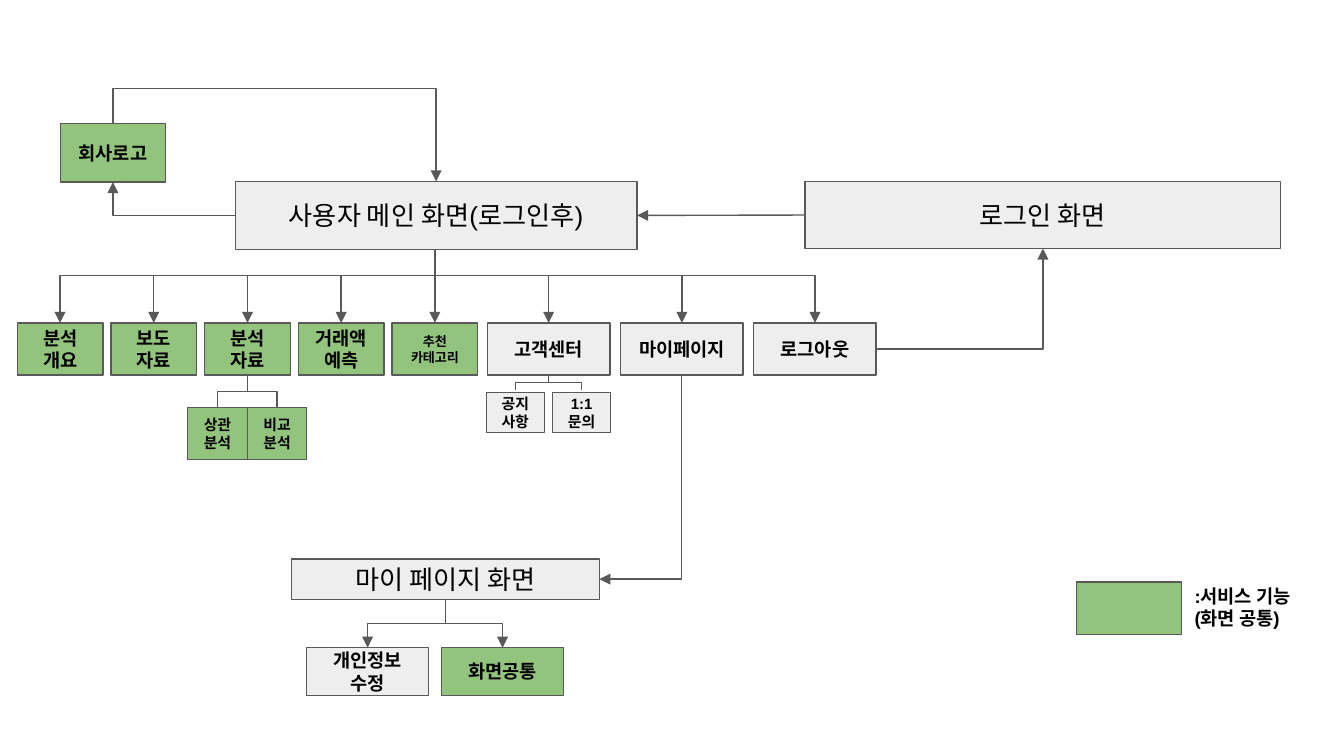
from dataclasses import dataclass

from pptx import Presentation
from pptx.dml.color import RGBColor
from pptx.enum.shapes import MSO_CONNECTOR, MSO_SHAPE
from pptx.enum.text import MSO_ANCHOR, PP_ALIGN
from pptx.oxml.ns import qn
from pptx.util import Pt
from lxml.etree import SubElement


@dataclass(frozen=True)
class Theme:
    """Colours, font and sizes of the diagram."""
    service: RGBColor = RGBColor(0x93, 0xC4, 0x7D)
    screen: RGBColor = RGBColor(0xEE, 0xEE, 0xEE)
    line: RGBColor = RGBColor(0x59, 0x59, 0x59)
    text: RGBColor = RGBColor(0, 0, 0)
    font: str = "Arial"
    heading: float = 14
    label: float = 10
    small: float = 8
    tiny: float = 7
    stroke: float = 0.75
    inset: float = 7.2


THEME = Theme()


def write(shape, text, size, bold, alignment, anchor):
    """Fill a shape with evenly formatted paragraphs."""
    frame = shape.text_frame
    frame.word_wrap = True
    frame.vertical_anchor = anchor
    frame.margin_left = frame.margin_right = Pt(THEME.inset)
    frame.margin_top = frame.margin_bottom = Pt(THEME.inset)
    frame.text = text
    for paragraph in frame.paragraphs:
        paragraph.alignment = alignment
        paragraph.font.name = THEME.font
        paragraph.font.size = Pt(size)
        paragraph.font.bold = bold
        paragraph.font.color.rgb = THEME.text


def add_box(slide, box, text, fill, size=THEME.label):
    """Draw an outlined rectangle with an optional centred label."""
    shape = slide.shapes.add_shape(MSO_SHAPE.RECTANGLE, *map(Pt, box))
    shape.shadow.inherit = False
    shape.fill.solid()
    shape.fill.fore_color.rgb = fill
    shape.line.color.rgb = THEME.line
    shape.line.width = Pt(THEME.stroke)
    if text:
        write(shape, text, size, size != THEME.heading, PP_ALIGN.CENTER, MSO_ANCHOR.MIDDLE)


def side(box, name):
    """Return the middle of one side of a box."""
    left, top, width, height = box
    return {
        "top": (left + width / 2, top),
        "bottom": (left + width / 2, top + height),
        "left": (left, top + height / 2),
        "right": (left + width, top + height / 2),
    }[name]


def style_line(connector, arrow):
    """Give a connector its stroke and, if asked, an arrowhead."""
    connector.line.color.rgb = THEME.line
    connector.line.width = Pt(THEME.stroke)
    properties = connector.element.spPr
    if arrow:
        SubElement(properties.find(qn("a:ln")), qn("a:tailEnd"), type="triangle")
    SubElement(properties, qn("a:effectLst"))


def add_line(slide, start, end, arrow=True):
    """Draw a straight connector."""
    points = map(Pt, (*start, *end))
    style_line(slide.shapes.add_connector(MSO_CONNECTOR.STRAIGHT, *points), arrow)


def add_elbow(slide, start, end, vertical=True, bend=None, arrow=True):
    """Draw an elbow; bend is the height of its middle run, None means one corner."""
    (x1, y1), (x2, y2) = start, end
    across, down = x2 - x1, y2 - y1
    if vertical:
        x, y = (x1 + x2) / 2, (y1 + y2) / 2
        half_width, half_height = abs(down) / 2, abs(across) / 2
        points = x - half_width, y - half_height, x + half_width, y + half_height
    else:
        points = x1, y1, x2, y2
    connector = slide.shapes.add_connector(MSO_CONNECTOR.ELBOW, *map(Pt, points))
    properties = connector.element.spPr
    if vertical:
        transform = properties.find(qn("a:xfrm"))
        transform.set("rot", str((270 if across > 0 else 90) * 60000))
        if across > 0:
            transform.set("flipH", "1")
    geometry = properties.find(qn("a:prstGeom"))
    if bend is None:
        geometry.set("prst", "bentConnector2")
    else:
        ratio = round((bend - y1) / down * 100000)
        SubElement(geometry.find(qn("a:avLst")), qn("a:gd"), name="adj1", fmla=f"val {ratio}")
    style_line(connector, arrow)


def add_children(slide, parent, box, labels, fills, pitch, size, arrow=False, gap=0):
    """Place a pair of boxes below a parent and branch down to them."""
    left, top, width, height = box
    start = side(parent, "bottom")
    for index, (label, fill) in enumerate(zip(labels, fills)):
        child = (left + index * pitch, top, width, height)
        add_box(slide, child, label, fill, size)
        x, y = side(child, "top")
        end = (x, y - gap)
        add_elbow(slide, start, end, bend=(start[1] + end[1]) / 2, arrow=arrow)


def add_entry(slide, main, login, logo):
    """Place the login and main screens with the logo loop."""
    add_box(slide, main, "사용자 메인 화면(로그인후)", THEME.screen, THEME.heading)
    add_box(slide, login, "로그인 화면", THEME.screen, THEME.heading)
    add_box(slide, logo, "회사로고", THEME.service)
    add_line(slide, side(login, "left"), side(main, "right"))
    add_elbow(slide, side(main, "left"), side(logo, "bottom"), vertical=False)
    add_elbow(slide, side(logo, "top"), side(main, "top"), bend=logo[1] - 18.7)


def add_menu(slide, box, main):
    """Place the menu row under the main screen; return its boxes by label."""
    left, top, width, height = box
    narrow, wide = 46, 65.5
    services = ["분석\n개요", "보도\n자료", "분석\n자료", "거래액\n예측", "추천\n카테고리"]
    pages = ["고객센터", "마이페이지", "로그아웃"]
    items = {}
    for index, label in enumerate(services):
        items[label] = (left + 50.2 * index, top, narrow, height)
        size = THEME.tiny if label == services[-1] else THEME.label
        add_box(slide, items[label], label, THEME.service, size)
    for index, label in enumerate(pages):
        items[label] = (left + width - wide - 71.3 * (2 - index), top, wide, height)
        add_box(slide, items[label], label, THEME.screen)

    trunk = side(items[services[-1]], "top")[0]
    start, bus = (trunk, main[1] + main[3]), top - 25.4
    for label, item in items.items():
        end = side(item, "top")
        if label == services[0]:
            add_elbow(slide, (trunk, bus), end, vertical=False)
        elif label in pages[1:]:
            add_elbow(slide, start, end, bend=bus)
        else:
            add_line(slide, start if label == services[-1] else (end[0], bus), end)
    return items


def add_my_page(slide, box, source):
    """Place the my-page screen, reached from the menu, and its two parts."""
    left, top, width, height = box
    add_box(slide, box, "마이 페이지 화면", THEME.screen, THEME.heading)
    add_elbow(slide, side(source, "bottom"), side(box, "right"))
    add_children(slide, box, (left + 8, top + 47.5, 65.5, 25.5), ["개인정보\n수정", "화면공통"],
                 [THEME.screen, THEME.service], 72.3, THEME.label, arrow=True)


def add_legend(slide, box):
    """Place the colour key with its caption."""
    left, top, width, height = box
    add_box(slide, (left, top + 5.8, 56.2, 28.1), "", THEME.service)
    caption = slide.shapes.add_textbox(Pt(left + 56.2), Pt(top), Pt(width - 56.2), Pt(height))
    write(caption, ":서비스 기능\n(화면 공통)", THEME.label, True, PP_ALIGN.LEFT, MSO_ANCHOR.TOP)


def build_site_map(slide):
    """Lay out the whole site map."""
    main = (126, 97.2, 215.3, 36.4)
    login = (431.3, 97.2, 254.9, 36)
    add_entry(slide, main, login, (32.4, 66.2, 56.2, 31.4))
    items = add_menu(slide, (9.2, 173, 460.1, 28), main)
    add_elbow(slide, side(items["로그아웃"], "right"), side(login, "bottom"), vertical=False)
    add_children(slide, items["분석\n자료"], (100.6, 218.2, 31.9, 28.1), ["상관분석", "비교분석"],
                 [THEME.service] * 2, 31.9, THEME.small)
    add_children(slide, items["고객센터"], (260.6, 210.2, 31, 21.4), ["공지사항", "1:1 문의"],
                 [THEME.screen] * 2, 35.5, THEME.small, gap=1.4)
    add_my_page(slide, (156.2, 299.5, 164.9, 21.6), items["마이페이지"])
    add_legend(slide, (576.7, 306, 154.1, 38.9))


presentation = Presentation()
presentation.slide_width, presentation.slide_height = Pt(720), Pt(405)
build_site_map(presentation.slides.add_slide(presentation.slide_layouts[6]))
presentation.save("out.pptx")
